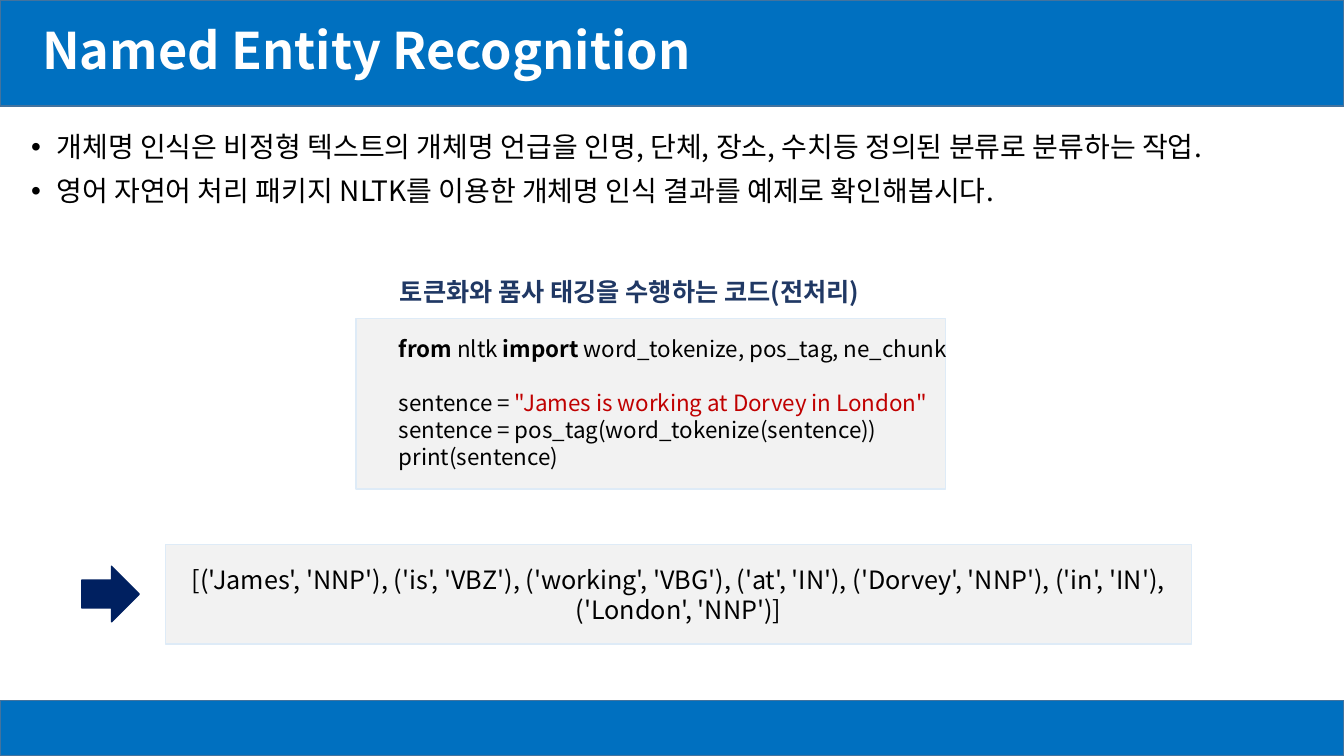
"""Build a slide on named entity recognition with a tagging example."""
from lxml import etree
from pptx import Presentation
from pptx.dml.color import RGBColor
from pptx.enum.shapes import MSO_SHAPE
from pptx.enum.text import MSO_ANCHOR, MSO_AUTO_SIZE, PP_ALIGN
from pptx.oxml.ns import qn
from pptx.util import Cm, Pt

RECT, ARROW = MSO_SHAPE.RECTANGLE, MSO_SHAPE.RIGHT_ARROW
LEFT, CENTER = PP_ALIGN.LEFT, PP_ALIGN.CENTER
TOP, MIDDLE = MSO_ANCHOR.TOP, MSO_ANCHOR.MIDDLE
NO_FIT = MSO_AUTO_SIZE.NONE
FONT = "Noto Sans CJK KR"
WIDTH, HEIGHT = 33.87, 19.05
COLORS = {
    "bar": "0070C0", "bar_line": "43739E", "navy": "002060", "panel": "F2F2F2",
    "panel_line": "DEEBF7", "heading": "203864", "string": "C00000",
    "black": "000000", "white": "FFFFFF",
}
BULLETS = [
    "개체명 인식은 비정형 텍스트의 개체명 언급을 인명, 단체, 장소, 수치등 정의된 분류로 분류하는 작업.",
    "영어 자연어 처리 패키지 NLTK를 이용한 개체명 인식 결과를 예제로 확인해봅시다.",
]
KEYWORD, STRING = {"bold": True}, {"color": "string"}
CODE = [
    [("from ", KEYWORD), ("nltk ", {}), ("import ", KEYWORD),
     ("word_tokenize, pos_tag, ne_chunk", {})],
    [("sentence = ", {}), ('"James is working at Dorvey in London"', STRING)],
    [("sentence = pos_tag(word_tokenize(sentence))", {})],
    [("print(sentence)", {})],
]
RESULT = ("[('James', 'NNP'), ('is', 'VBZ'), ('working', 'VBG'), ('at', 'IN'), "
          "('Dorvey', 'NNP'), ('in', 'IN'), ('London', 'NNP')]")


def rgb(name):
    """Return the named colour."""
    return RGBColor.from_string(COLORS[name])


def place(shape, left, top, width, height):
    """Move and size a placeholder in centimetres."""
    box = {"left": left, "top": top, "width": width, "height": height}
    for key, value in box.items():
        setattr(shape, key, Cm(value))


def add_run(p, text, size, color="black", bold=False):
    """Add a formatted run with Latin and East Asian fonts."""
    r = p.add_run()
    r.text = text
    for key, value in {"name": FONT, "size": Pt(size), "bold": bold}.items():
        setattr(r.font, key, value)
    r.font.color.rgb = rgb(color)
    etree.SubElement(r._r.get_or_add_rPr(), qn("a:ea"), typeface=FONT)


def write(shape, lines, size, anchor=TOP, **paragraph_format):
    """Fill a shape with paragraphs of (text, format) runs."""
    tf = shape.text_frame
    for key, value in {"word_wrap": True, "auto_size": NO_FIT,
                       "vertical_anchor": anchor}.items():
        setattr(tf, key, value)
    for i, runs in enumerate(lines):
        p = tf.add_paragraph() if i else tf.paragraphs[0]
        for key, value in paragraph_format.items():
            setattr(p, key, value)
        for text, run_format in runs:
            add_run(p, text, size, **run_format)
    return tf.paragraphs


def add_bullet(p):
    """Give a paragraph a hanging round bullet."""
    pPr = p._p.get_or_add_pPr()
    pPr.set("marL", str(Cm(0.64)))
    pPr.set("indent", str(Cm(-0.64)))
    etree.SubElement(pPr, qn("a:buChar"), char="•")


def add_block(s, kind, box, fill, line):
    """Add a filled, outlined shape without shadow."""
    sp = s.shapes.add_shape(kind, *map(Cm, box))
    sp.shadow.inherit = False
    sp.fill.solid()
    sp.fill.fore_color.rgb = rgb(fill)
    sp.line.color.rgb = rgb(line)
    sp.line.width = Pt(1)
    return sp


def add_bar(s, top, height):
    """Add a full-width bar behind the placeholders."""
    sp = add_block(s, RECT, (0, top, WIDTH, height), "bar", "bar_line")
    s.shapes._spTree.insert(2, sp._element)


def add_text(s, box, lines, size):
    """Add a text box and return its paragraphs."""
    return write(s.shapes.add_textbox(*map(Cm, box)), lines, size)


def main():
    """Build and save the slide."""
    prs = Presentation()
    prs.slide_width, prs.slide_height = Cm(WIDTH), Cm(HEIGHT)
    s = prs.slides.add_slide(prs.slide_layouts[1])
    title, body = s.placeholders

    add_bar(s, 0, 2.67)
    add_bar(s, 17.65, 1.4)

    place(title, 0.81, 0.33, 29.21, 2.03)
    write(title, [[("Named Entity Recognition", {"color": "white", "bold": True})]],
          36, MIDDLE, alignment=LEFT, line_spacing=0.9)
    place(body, 0.53, 3.23, 33.33, 5.33)
    for p in write(body, [[(text, {})] for text in BULLETS], 20,
                   line_spacing=0.9, space_before=Pt(10)):
        add_bullet(p)

    add_block(s, ARROW, (2.06, 14.27, 1.45, 1.4), "navy", "navy")
    result = add_block(s, RECT, (4.17, 13.72, 25.86, 2.51), "panel", "panel_line")
    write(result, [[(RESULT, {})]], 18, MIDDLE, alignment=CENTER)

    add_block(s, RECT, (8.97, 8.03, 14.86, 4.29), "panel", "panel_line")
    code = add_text(s, (9.8, 8.33, 14.45, 3.68), CODE, 16)
    code[1].space_before = Pt(19)
    add_text(s, (9.83, 6.83, 16.41, 1.02),
             [[("토큰화와 품사 태깅을 수행하는 코드(전처리)",
                {"color": "heading", "bold": True})]], 18)
    prs.save("out.pptx")


if __name__ == "__main__":
    main()
